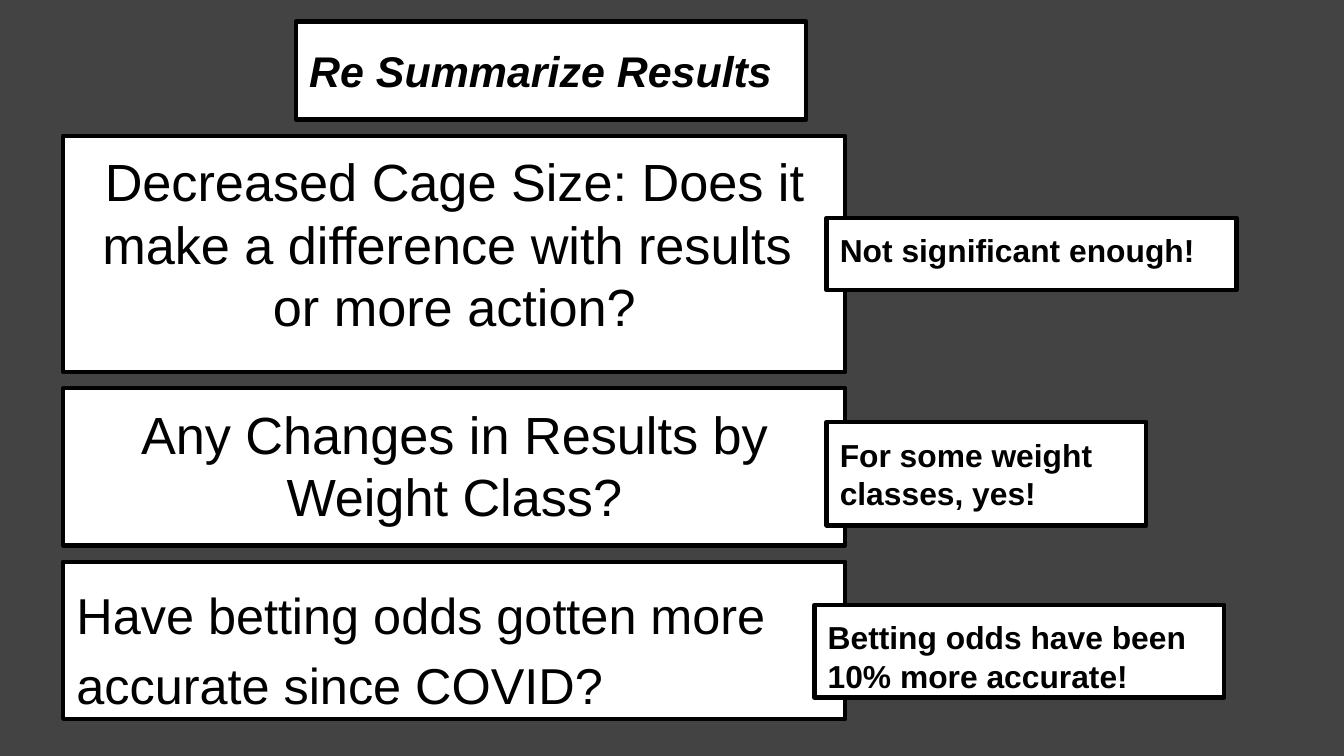
from dataclasses import dataclass

from pptx import Presentation
from pptx.dml.color import RGBColor
from pptx.enum.shapes import MSO_SHAPE
from pptx.enum.text import MSO_ANCHOR, MSO_AUTO_SIZE, PP_ALIGN
from pptx.util import Inches, Pt


@dataclass(frozen=True)
class Theme:
    background: RGBColor = RGBColor(0x43, 0x43, 0x43)
    box: RGBColor = RGBColor(0xFF, 0xFF, 0xFF)
    ink: RGBColor = RGBColor(0, 0, 0)
    font: str = "Arial"
    border: float = 2.25
    inset: float = 0.1
    title_size: int = 23
    question_size: int = 28
    last_question_size: int = 27
    answer_size: int = 17


@dataclass(frozen=True)
class TextStyle:
    size: int
    bold: bool = False
    italic: bool = False
    align: PP_ALIGN = PP_ALIGN.LEFT
    anchor: MSO_ANCHOR = MSO_ANCHOR.TOP
    line_spacing: float = 1.0


@dataclass(frozen=True)
class Box:
    left: float
    top: float
    width: float
    height: float
    lines: tuple[str, ...]
    style: TextStyle


@dataclass(frozen=True)
class Question:
    height: float
    lines: tuple[str, ...]
    style: TextStyle


THEME = Theme()
TITLE = TextStyle(THEME.title_size, bold=True, italic=True, anchor=MSO_ANCHOR.MIDDLE)
CENTRED = TextStyle(THEME.question_size, align=PP_ALIGN.CENTER)
SPACED = TextStyle(THEME.last_question_size, line_spacing=1.15)
ANSWER = TextStyle(THEME.answer_size, bold=True)

SLIDE_WIDTH = Inches(10)
SLIDE_HEIGHT = SLIDE_WIDTH * 9 // 16
QUESTION_LEFT, QUESTION_TOP = 0.47, 1.01
QUESTION_WIDTH, QUESTION_GAP = 5.82, 0.12

HEADING = Box(2.2, 0.16, 3.8, 0.73, ("Re Summarize Results",), TITLE)
QUESTIONS = (
    Question(
        1.76,
        ("Decreased Cage Size: Does it make a difference with results ", "or more action?"),
        CENTRED,
    ),
    Question(1.17, ("Any Changes in Results by Weight Class?",), CENTRED),
    Question(1.17, ("Have betting odds gotten more accurate since COVID?",), SPACED),
)
ANSWERS = (
    Box(6.15, 1.62, 3.05, 0.54, ("Not significant enough!",), ANSWER),
    Box(6.15, 3.14, 2.38, 0.77, ("For some weight classes, yes!",), ANSWER),
    Box(6.06, 4.5, 3.05, 0.69, ("Betting odds have been 10% more accurate!",), ANSWER),
)


def stack_questions() -> list[Box]:
    """Place the questions in one column with equal gaps."""
    boxes, top = [], QUESTION_TOP
    for question in QUESTIONS:
        boxes.append(Box(QUESTION_LEFT, top, QUESTION_WIDTH, question.height,
                         question.lines, question.style))
        top += question.height + QUESTION_GAP
    return boxes


def write_text(frame, lines: tuple[str, ...], style: TextStyle) -> None:
    frame.word_wrap = True
    frame.auto_size = MSO_AUTO_SIZE.NONE
    frame.vertical_anchor = style.anchor
    frame.margin_left = frame.margin_right = Inches(THEME.inset)
    frame.margin_top = frame.margin_bottom = Inches(THEME.inset)
    frame.text = "\n".join(lines)
    for paragraph in frame.paragraphs:
        paragraph.alignment = style.align
        paragraph.line_spacing = style.line_spacing
        font = paragraph.font
        font.name = THEME.font
        font.size = Pt(style.size)
        font.bold = style.bold
        font.italic = style.italic
        font.color.rgb = THEME.ink


def format_box(shape, box: Box) -> None:
    shape.left, shape.top = Inches(box.left), Inches(box.top)
    shape.width, shape.height = Inches(box.width), Inches(box.height)
    shape.fill.solid()
    shape.fill.fore_color.rgb = THEME.box
    shape.line.color.rgb = THEME.ink
    shape.line.width = Pt(THEME.border)
    write_text(shape.text_frame, box.lines, box.style)


def add_box(slide, box: Box) -> None:
    shape = slide.shapes.add_shape(MSO_SHAPE.RECTANGLE, 0, 0, 0, 0)
    shape.shadow.inherit = False
    format_box(shape, box)


def main() -> None:
    deck = Presentation()
    deck.slide_width, deck.slide_height = SLIDE_WIDTH, SLIDE_HEIGHT
    title_only = deck.slide_layouts[5]
    slide = deck.slides.add_slide(title_only)
    slide.background.fill.solid()
    slide.background.fill.fore_color.rgb = THEME.background

    format_box(slide.shapes.title, HEADING)
    for box in (*stack_questions(), *ANSWERS):
        add_box(slide, box)
    deck.save("out.pptx")


if __name__ == "__main__":
    main()
